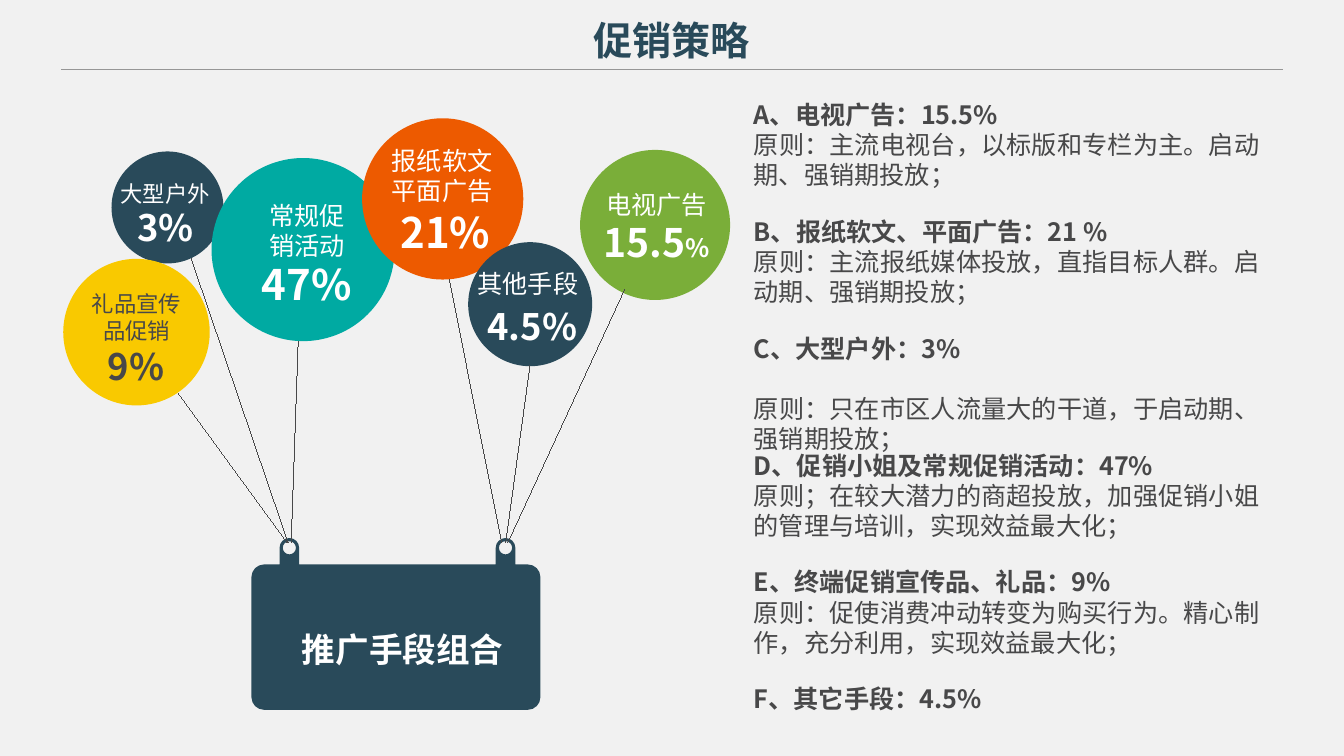
import math
from lxml import etree
from pptx import Presentation
from pptx import util as u
from pptx.dml.color import RGBColor
from pptx.enum import shapes, text
from pptx.oxml.ns import qn

Pt = u.Pt
FONT = "Noto Sans CJK SC"
NAVY, GREY, WHITE = "294A5A", "484849", "FFFFFF"
CENTER, JUSTIFY = text.PP_ALIGN.CENTER, text.PP_ALIGN.JUSTIFY


def paint(fmt, colour):
    if hasattr(fmt, "solid"):
        fmt.solid()
        fmt = fmt.fore_color
    fmt.rgb = RGBColor.from_string(colour)


def write(sp, paragraphs, align, colour, wrap=True):
    tf = sp.text_frame
    tf.word_wrap = wrap
    tf.auto_size = text.MSO_AUTO_SIZE.SHAPE_TO_FIT_TEXT
    tf.vertical_anchor = text.MSO_ANCHOR.TOP
    for i, runs in enumerate(paragraphs):
        p = tf.add_paragraph() if i else tf.paragraphs[0]
        p.alignment = align
        for words, size, bold in runs:
            r = p.add_run()
            r.text = words
            paint(r.font.color, colour)
            for key, value in {"name": FONT, "size": Pt(size), "bold": bold}.items():
                setattr(r.font, key, value)
            etree.SubElement(r.font._element, qn("a:ea"), typeface=FONT)
    return tf


prs = Presentation()
prs.slide_width, prs.slide_height = Pt(960.5), Pt(540)
s = prs.slides.add_slide(prs.slide_layouts[5])
paint(s.background.fill, "F1F1F1")

title = s.shapes.title
for key, value in {"left": 278.7, "top": 8, "width": 402.5, "height": 41}.items():
    setattr(title, key, Pt(value))
write(title, [[("促销策略", 28, True)]], CENTER, NAVY)

balloons = [
    (NAVY, WHITE, (79.7, 108.2, 80),
     [((73.8, 125.5, 88.6, 26.6), [("大型户外", 16, False)]),
      ((88.2, 143.3, 60.5, 38.9), [("3%", 26, True)])]),
    ("00AAA2", WHITE, (151.2, 112.9, 130.8),
     [((177.5, 139.7, 84.2, 51.1), [("常规促销活动", 18, False)]),
      ((176.4, 181.4, 85.7, 43.9), [("47%", 30, True)])]),
    ("ED5A00", WHITE, (258.8, 84.5, 115.2),
     [((270.3, 100.1, 91.4, 51.1), [("报纸软文平面广告", 18, False)]),
      ((275.4, 144, 85.7, 43.9), [("21%", 30, True)])]),
    (NAVY, WHITE, (334.6, 173, 88.6),
     [((330.5, 187.9, 93.6, 28.8), [("其他手段", 18, False)]),
      ((337.7, 213.8, 85.7, 38.9), [("4.5%", 26, True)])]),
    ("F9C900", GREY, (45.2, 184.9, 104.7),
     [((54.7, 203.8, 85.7, 46.1), [("礼品宣传品促销", 16, False)]),
      ((54.3, 242.2, 85.7, 38.9), [("9%", 26, True)])]),
    ("7AAE39", WHITE, (414.6, 107.1, 107.2),
     [((423.7, 131.8, 91.4, 28.8), [("电视广告", 18, False)]),
      ((419, 152.6, 100.1, 41), [("15.5", 28, True), ("%", 18, True)])]),
]
for fill, _, (x, y, d), _ in balloons:
    sp = s.shapes.add_shape(shapes.MSO_SHAPE.OVAL, Pt(x), Pt(y), Pt(d), Pt(d))
    sp.shadow.inherit = False
    paint(sp.fill, fill)
    sp.line.fill.background()

left, top, right, bottom, corner = 179.7, 403.2, 386.2, 507, 9
ring_y, tab_r, hole_r = 391.3, 7, 4.7
rings = [206.8, 361.3]
outline = [(left + corner, top + corner, corner, 180, 1)]
for x in rings:
    outline += [(x - tab_r, top, 0, 0, 0), (x, ring_y, tab_r, 180, 1),
                (x, ring_y, tab_r, 270, 1), (x + tab_r, top, 0, 0, 0)]
outline += [(right - corner, top + corner, corner, 270, 1),
            (right - corner, bottom - corner, corner, 0, 1),
            (left + corner, bottom - corner, corner, 90, 1)]
holes = [[(x, ring_y, hole_r, a, -1) for a in (360, 270, 180, 90)] for x in rings]
builder, segments = None, []
for contour in [outline] + holes:
    points = []
    for cx, cy, radius, start, turn in contour:
        a, b = math.radians(start), math.radians(start + 90 * turn)
        k = 0.5523 * turn
        units = [(math.cos(a), math.sin(a)),
                 (math.cos(a) - k * math.sin(a), math.sin(a) + k * math.cos(a)),
                 (math.cos(b) + k * math.sin(b), math.sin(b) - k * math.cos(b)),
                 (math.cos(b), math.sin(b))]
        places = [(Pt(round(cx + radius * ux, 2)), Pt(round(cy + radius * uy, 2))) for ux, uy in units]
        if not points:
            points.append(places[0])
        elif points[-1] != places[0]:
            points.append(places[0])
            segments.append(1)
        if turn:
            points += places[1:]
            segments.append(3)
    if builder is None:
        builder = s.shapes.build_freeform(*points[0], scale=1.0)
    else:
        builder.move_to(*points[0])
    builder.add_line_segments(points[1:], close=True)
sign = builder.convert_to_shape()
sign.shadow.inherit = False
paint(sign.fill, NAVY)
sign.line.fill.background()
steps = iter(list(sign._element.iter(qn("a:lnTo"))))
for count in segments:
    group = [next(steps) for _ in range(count)]
    if count == 3:
        curve = etree.Element(qn("a:cubicBezTo"))
        group[0].addprevious(curve)
        for step in group:
            curve.append(step[0])
            step.getparent().remove(step)

string_y = 387.4
lines = [
    (127.4, 280.8, 205.2, string_y, GREY, 0),
    (213.1, 244.1, 208.1, string_y, GREY, 0),
    (321.1, 199.4, 358.6, string_y, GREY, 0),
    (378.7, 261.4, 361.4, string_y, GREY, 0),
    (446.4, 206.6, 362.9, string_y, GREY, 0),
    (136.8, 185, 205.9, string_y, GREY, 0),
    (43.9, 49.7, 916.6, 49.7, "969696", 0.75),
]
for x1, y1, x2, y2, colour, width in lines:
    c = s.shapes.add_connector(shapes.MSO_CONNECTOR.STRAIGHT, Pt(x1), Pt(y1), Pt(x2), Pt(y2))
    paint(c.line.fill, colour)
    c.line.width = Pt(width)
    etree.SubElement(c._element.spPr, qn("a:effectLst"))
    c._element.remove(c._element.find(qn("p:style")))

for _, colour, _, labels in balloons:
    for box, runs in labels:
        write(s.shapes.add_textbox(*map(Pt, box)), [runs], CENTER, colour)

caption = s.shapes.add_textbox(Pt(207.8), Pt(445.7), Pt(159.8), Pt(36))
write(caption, [[("推广手段组合", 24, True)]], CENTER, WHITE, wrap=False)

strategies = [
    ("A、电视广告：15.5%", "原则：主流电视台，以标版和专栏为主。启动期、强销期投放；", 0),
    ("B、报纸软文、平面广告：21 %", "原则：主流报纸媒体投放，直指目标人群。启动期、强销期投放；", 0),
    ("C、大型户外：3%", "原则：只在市区人流量大的干道，于启动期、强销期投放；", 21.5),
    ("D、促销小姐及常规促销活动：47%", "原则；在较大潜力的商超投放，加强促销小姐的管理与培训，实现效益最大化；", 0),
    ("E、终端促销宣传品、礼品：9%", "原则：促使消费冲动转变为购买行为。精心制作，充分利用，实现效益最大化；", 0),
    ("F、其它手段：4.5%", None, 0),
]
for i, (heading, principle, gap) in enumerate(strategies):
    paragraphs = [[(heading, 18, True)]]
    if principle:
        paragraphs.append([(principle, 18, False)])
    height = 72.7 if principle else 28.8
    sp = s.shapes.add_textbox(Pt(531.6), Pt(67.3 + 83.5 * i), Pt(375.8), Pt(height))
    tf = write(sp, paragraphs, JUSTIFY, GREY)
    if gap:
        tf.paragraphs[1].space_before = Pt(gap)

prs.save("out.pptx")
